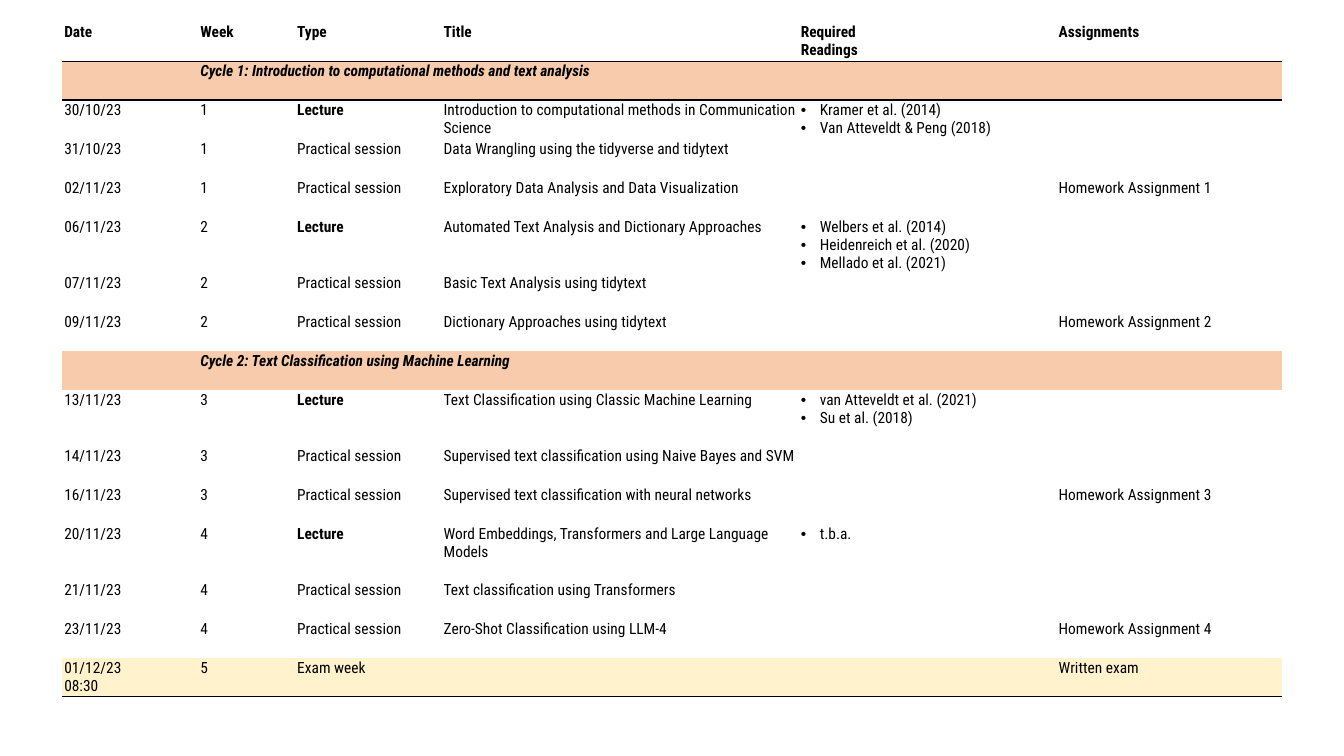
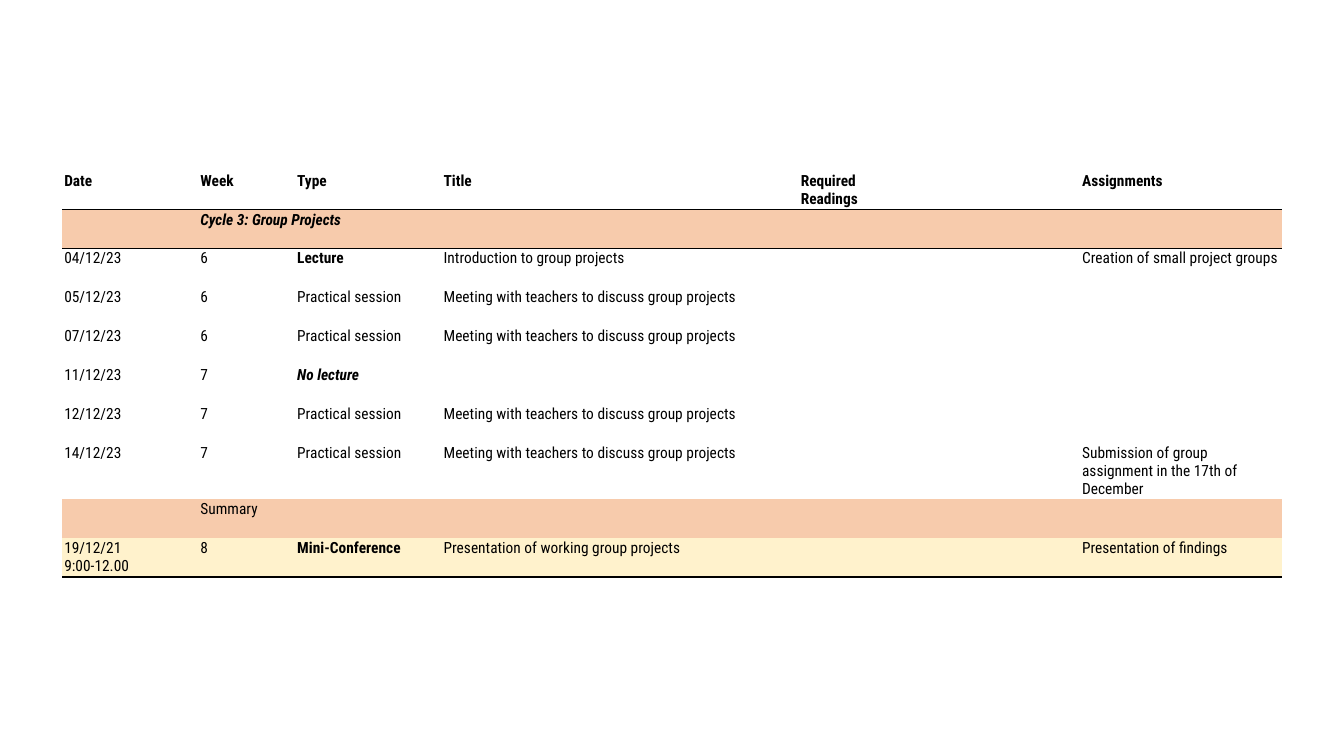
from dataclasses import dataclass

from lxml import etree
from pptx import Presentation
from pptx.dml.color import RGBColor
from pptx.enum.text import MSO_ANCHOR, PP_ALIGN
from pptx.oxml.ns import qn
from pptx.util import Cm, Pt

TOP = MSO_ANCHOR.TOP
LEFT = PP_ALIGN.LEFT

# Shared look
COLORS = {"text": "000000", "rule": "000000", "cycle": "F7CBAC", "event": "FFF2CC"}
FONT = "Roboto Condensed"
FONT_SIZE = Pt(11)
INSET_X, INSET_Y = Cm(0.05), Cm(0.03)
BULLET_INDENT = Cm(0.48)
TABLE_LEFT = Cm(1.57)
ROW_HEIGHT, TALL_ROW_HEIGHT = Cm(0.98), Cm(1.42)
SHARED_WIDTHS = [3.43, 2.44, 3.69, 9.0]
NO_TABLE_STYLE = "{2D5ABB26-0587-4C30-8999-92F81FD0307C}"

# Column positions and session types
TYPE, READINGS = 2, 4
HEADINGS = ("Date", "Week", "Type", "Title", "Required \vReadings", "Assignments")
LECTURE, PRACTICAL = "Lecture", "Practical session"
NO_LECTURE, CONFERENCE = "No lecture", "Mini-Conference"
BOLD_TYPES = {LECTURE, NO_LECTURE, CONFERENCE}
MEETING = "Meeting with teachers to discuss group projects"


@dataclass
class Band:
    title: str
    emphasis: bool = True


@dataclass
class Session:
    date: str
    week: int
    kind: str
    title: str = ""
    readings: str = ""
    assignment: str = ""
    tall: bool = False
    event: bool = False

    def texts(self):
        return (self.date, str(self.week), self.kind, self.title,
                self.readings, self.assignment)


METHODS_SCHEDULE = [
    Band("Cycle 1: Introduction to computational methods and text analysis"),
    Session("30/10/23", 1, LECTURE,
            "Introduction to computational methods in Communication Science",
            "Kramer et al. (2014)\nVan Atteveldt & Peng (2018)"),
    Session("31/10/23", 1, PRACTICAL, "Data Wrangling using the tidyverse and tidytext"),
    Session("02/11/23", 1, PRACTICAL, "Exploratory Data Analysis and Data Visualization",
            assignment="Homework Assignment 1"),
    Session("06/11/23", 2, LECTURE, "Automated Text Analysis and Dictionary Approaches",
            "Welbers et al. (2014)\nHeidenreich et al. (2020)\nMellado et al. (2021)",
            tall=True),
    Session("07/11/23", 2, PRACTICAL, "Basic Text Analysis using tidytext"),
    Session("09/11/23", 2, PRACTICAL, "Dictionary Approaches using tidytext",
            assignment="Homework Assignment 2"),
    Band("Cycle 2: Text Classification using Machine Learning"),
    Session("13/11/23", 3, LECTURE, "Text Classification using Classic Machine Learning",
            "van Atteveldt et al. (2021)\nSu et al. (2018)", tall=True),
    Session("14/11/23", 3, PRACTICAL,
            "Supervised text classification using Naive Bayes and SVM"),
    Session("16/11/23", 3, PRACTICAL, "Supervised text classification with neural networks",
            assignment="Homework Assignment 3"),
    Session("20/11/23", 4, LECTURE,
            "Word Embeddings, Transformers and Large Language Models", "t.b.a.", tall=True),
    Session("21/11/23", 4, PRACTICAL, "Text classification using Transformers"),
    Session("23/11/23", 4, PRACTICAL, "Zero-Shot Classification using LLM-4",
            assignment="Homework Assignment 4"),
    Session("01/12/23\v08:30", 5, "Exam week", assignment="Written exam", event=True),
]

PROJECT_SCHEDULE = [
    Band("Cycle 3: Group Projects"),
    Session("04/12/23", 6, LECTURE, "Introduction to group projects",
            assignment="Creation of small project groups"),
    Session("05/12/23", 6, PRACTICAL, MEETING),
    Session("07/12/23", 6, PRACTICAL, MEETING),
    Session("11/12/23", 7, NO_LECTURE),
    Session("12/12/23", 7, PRACTICAL, MEETING),
    Session("14/12/23", 7, PRACTICAL, MEETING, tall=True,
            assignment="Submission of group assignment in the 17th of December"),
    Band("Summary", emphasis=False),
    Session("19/12/21\v9:00-12.00", 8, CONFERENCE, "Presentation of working group projects",
            assignment="Presentation of findings", event=True),
]


def write_cell(cell, text, bold=False, italic=False):
    cell.text_frame.text = text
    for paragraph in cell.text_frame.paragraphs:
        paragraph.alignment = LEFT
        for run in paragraph.runs:
            font = run.font
            font.name, font.size = FONT, FONT_SIZE
            font.bold, font.italic = bold, italic
            font.color.rgb = RGBColor.from_string(COLORS["text"])


def add_bullets(cell):
    for paragraph in cell.text_frame.paragraphs:
        properties = paragraph._p.get_or_add_pPr()
        properties.set("marL", str(BULLET_INDENT))
        properties.set("indent", str(-BULLET_INDENT))
        etree.SubElement(properties, qn("a:buFont"), typeface="Arial")
        etree.SubElement(properties, qn("a:buChar"), char="•")


def rule_row(row, side):
    """Draw a one-point rule along the top (lnT) or bottom (lnB) of a row."""
    for cell in row.cells:
        properties = cell._tc.get_or_add_tcPr()
        rule = etree.Element(qn("a:" + side), w=str(Pt(1)))
        fill = etree.SubElement(rule, qn("a:solidFill"))
        etree.SubElement(fill, qn("a:srgbClr"), val=COLORS["rule"])
        properties.insert(0, rule)


def style_row(row, color=None):
    for cell in row.cells:
        cell.margin_left = cell.margin_right = INSET_X
        cell.margin_top = cell.margin_bottom = INSET_Y
        cell.vertical_anchor = TOP
        if color:
            cell.fill.solid()
            cell.fill.fore_color.rgb = RGBColor.from_string(COLORS[color])
        else:
            cell.fill.background()


def fill_band(row, band):
    style_row(row, "cycle")
    title_cell = row.cells[1]
    title_cell.merge(row.cells[len(HEADINGS) - 1])
    write_cell(title_cell, band.title, band.emphasis, band.emphasis)


def fill_session(row, session):
    style_row(row, "event" if session.event else None)
    if session.tall:
        row.height = TALL_ROW_HEIGHT
    for column, text in enumerate(session.texts()):
        if text:
            bold = column == TYPE and text in BOLD_TYPES
            write_cell(row.cells[column], text, bold, text == NO_LECTURE)
    if session.readings:
        add_bullets(row.cells[READINGS])


def add_schedule(slide, top, entries, last_widths):
    widths = [Cm(width) for width in SHARED_WIDTHS + last_widths]
    row_count = len(entries) + 1
    frame = slide.shapes.add_table(row_count, len(HEADINGS), TABLE_LEFT, top,
                                   sum(widths), ROW_HEIGHT * row_count)
    schedule = frame.table
    schedule.first_row = schedule.horz_banding = False
    schedule._tbl.tblPr.find(qn("a:tableStyleId")).text = NO_TABLE_STYLE
    for column, width in zip(schedule.columns, widths):
        column.width = width
    rows = list(schedule.rows)
    for row in rows:
        row.height = ROW_HEIGHT

    # Heading row
    style_row(rows[0])
    for cell, heading in zip(rows[0].cells, HEADINGS):
        write_cell(cell, heading, bold=True)

    # Cycles and sessions
    for row, entry in zip(rows[1:], entries):
        if isinstance(entry, Band):
            fill_band(row, entry)
        else:
            fill_session(row, entry)

    # Rules below the headings and below the last session
    rule_row(rows[0], "lnB")
    rule_row(rows[1], "lnT")
    rule_row(rows[-1], "lnB")
    frame.height = sum(row.height for row in rows)


def main():
    deck = Presentation()
    deck.slide_width, deck.slide_height = Cm(33.87), Cm(19.05)
    blank = deck.slide_layouts[6]
    add_schedule(deck.slides.add_slide(blank), Cm(0.56), METHODS_SCHEDULE, [6.5, 5.69])
    add_schedule(deck.slides.add_slide(blank), Cm(4.3), PROJECT_SCHEDULE, [7.09, 5.1])
    deck.save("out.pptx")


main()
